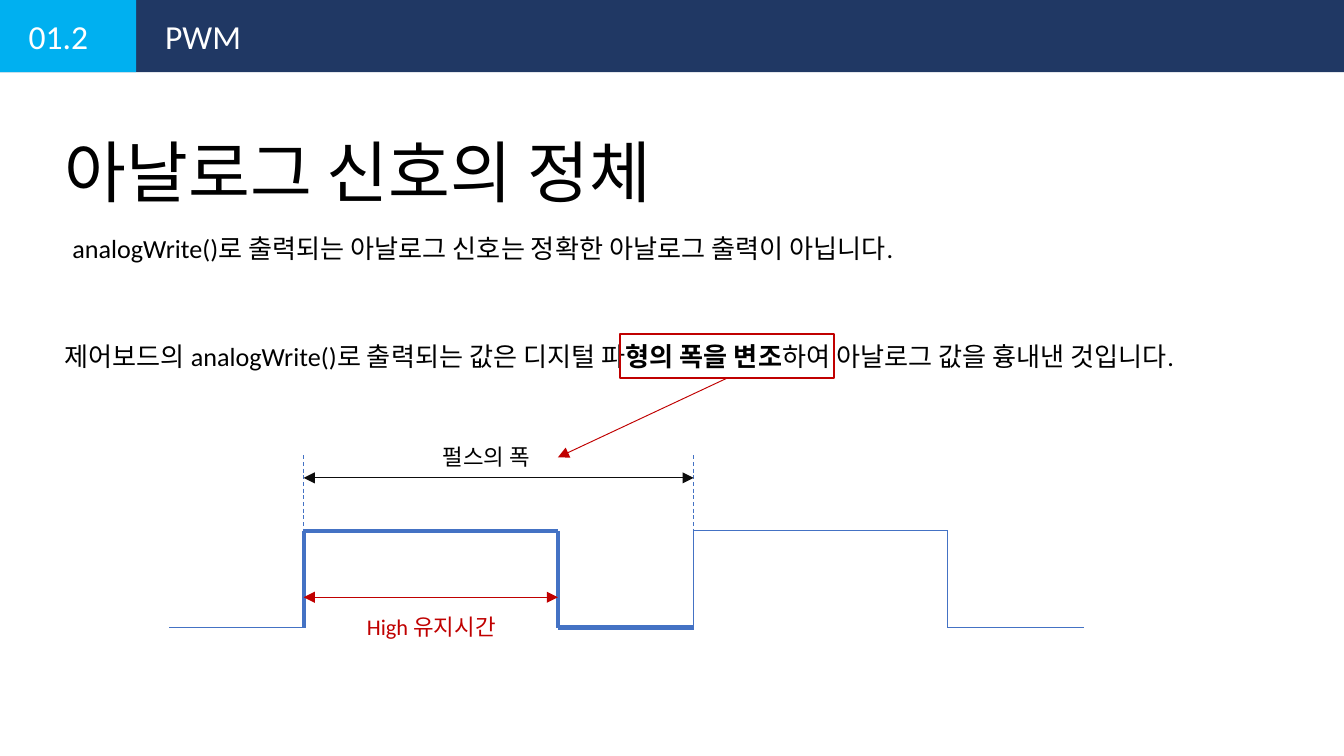
import itertools
from dataclasses import dataclass

import pptx
import pptx.dml.color
import pptx.enum.dml
import pptx.enum.shapes
import pptx.enum.text
import pptx.oxml
import pptx.oxml.ns
import pptx.util

Pt = pptx.util.Pt
PP_ALIGN = pptx.enum.text.PP_ALIGN
FONT = "Calibri"
NAVY, CYAN, BLUE, RED = "203864", "00B0F0", "4472C4", "C00000"
BLACK, NEAR_BLACK, WHITE = "000000", "0D0D0D", "FFFFFF"


@dataclass
class Label:
    left: float
    top: float
    width: float
    height: float
    size: float
    runs: list[tuple[str, bool]]
    color: str = BLACK
    align: PP_ALIGN = PP_ALIGN.LEFT


@dataclass
class Stroke:
    start: tuple[float, float]
    end: tuple[float, float]
    color: str = BLUE
    width: float = 0.5
    dashed: bool = False
    head: bool = False
    tail: bool = False


def rgb(color: str) -> pptx.dml.color.RGBColor:
    return pptx.dml.color.RGBColor.from_string(color)


def write_label(shape, label: Label) -> None:
    shape.left, shape.top = Pt(label.left), Pt(label.top)
    shape.width, shape.height = Pt(label.width), Pt(label.height)
    frame = shape.text_frame
    frame.word_wrap = True
    frame.auto_size = pptx.enum.text.MSO_AUTO_SIZE.NONE
    frame.vertical_anchor = pptx.enum.text.MSO_ANCHOR.TOP
    paragraph = frame.paragraphs[0]
    paragraph.alignment = label.align
    paragraph.font.name = FONT
    paragraph.font.size = Pt(label.size)
    paragraph.font.color.rgb = rgb(label.color)
    for text, bold in label.runs:
        run = paragraph.add_run()
        run.text = text
        if bold:
            run.font.bold = True


def add_rectangle(slide, left: float, top: float, width: float, height: float,
                  fill: str | None = None, outline: str | None = None):
    shape = slide.shapes.add_shape(pptx.enum.shapes.MSO_SHAPE.RECTANGLE,
                                   Pt(left), Pt(top), Pt(width), Pt(height))
    shape.shadow.inherit = False
    if fill:
        shape.fill.solid()
        shape.fill.fore_color.rgb = rgb(fill)
    else:
        shape.fill.background()
    if outline:
        shape.line.color.rgb = rgb(outline)
        shape.line.width = Pt(1)
    else:
        shape.line.fill.background()
    return shape


def add_stroke(slide, stroke: Stroke):
    connector = slide.shapes.add_connector(
        pptx.enum.shapes.MSO_CONNECTOR.STRAIGHT,
        *(Pt(value) for value in stroke.start + stroke.end))
    connector.line.color.rgb = rgb(stroke.color)
    connector.line.width = Pt(stroke.width)
    if stroke.dashed:
        connector.line.dash_style = pptx.enum.dml.MSO_LINE.DASH
    properties = connector._element.spPr
    outline = properties.find(pptx.oxml.ns.qn("a:ln"))
    for tag, wanted in (("a:headEnd", stroke.head), ("a:tailEnd", stroke.tail)):
        if wanted:
            arrow = pptx.oxml.parse_xml(
                f'<{tag} {pptx.oxml.ns.nsdecls("a")} type="triangle"/>')
            outline.append(arrow)
    properties.append(pptx.oxml.parse_xml(
        f'<a:effectLst {pptx.oxml.ns.nsdecls("a")}/>'))
    return connector


deck = pptx.Presentation()
deck.slide_width, deck.slide_height = Pt(720), Pt(405)
slide = deck.slides.add_slide(deck.slide_layouts[5])

# Header band
add_rectangle(slide, 0, 0, 720, 38.7, fill=NAVY)
add_rectangle(slide, 0, 0, 73, 38.7, fill=CYAN)

# Title
write_label(slide.shapes.title,
            Label(27.4, 66.2, 412.6, 51, 36, [("아날로그 신호의 정체", False)]))

# Header, body and diagram texts
labels = [
    Label(8.3, 5.1, 47, 29, 18, [("01.2", False)], WHITE),
    Label(81.4, 5.1, 371.5, 29, 18, [("PWM", False)], WHITE),
    Label(31.7, 121, 588, 24.2, 14,
          [("analogWrite()로 출력되는 아날로그 신호는 정확한 아날로그 출력이 아닙니다.", False)]),
    Label(27.4, 178.9, 650, 24.2, 14,
          [("제어보드의 analogWrite()로 출력되는 값은 디지털 파", False),
           ("형의 폭을 변조", True),
           ("하여 아날로그 값을 흉내낸 것입니다.", False)]),
    Label(222.5, 234, 76.3, 21.8, 12, [("펄스의 폭", False)], align=PP_ALIGN.CENTER),
    Label(180.7, 324.7, 100.8, 21.8, 12, [("High 유지시간", False)], RED,
          PP_ALIGN.CENTER),
]
for label in labels:
    write_label(slide.shapes.add_textbox(0, 0, 0, 0), label)

# Pulse train: a low lead-in, then two periods, the first one bold
HIGH_TIME, LOW_TIME = 136.2, 72.7
HIGH_Y, LOW_Y = 284.4, 336.2
first_rise = 162.7
first_fall = first_rise + HIGH_TIME
second_rise = first_fall + LOW_TIME
add_stroke(slide, Stroke((first_rise - LOW_TIME + 0.7, LOW_Y), (first_rise, LOW_Y)))
for rise, width in ((first_rise, 2.25), (second_rise, 0.5)):
    fall = rise + HIGH_TIME
    corners = [(rise, LOW_Y), (rise, HIGH_Y), (fall, HIGH_Y), (fall, LOW_Y),
               (fall + LOW_TIME, LOW_Y)]
    for start, end in itertools.pairwise(corners):
        add_stroke(slide, Stroke(start, end, width=width))

# Dimension lines
for edge in (first_rise, second_rise):
    add_stroke(slide, Stroke((edge, 244), (edge, HIGH_Y), dashed=True))
for end_x, y, color in ((second_rise, 256, NEAR_BLACK), (first_fall, 320, RED)):
    add_stroke(slide, Stroke((first_rise, y), (end_x, y), color, head=True, tail=True))

# Highlighted phrase and its arrow to the pulse width
phrase_frame = add_rectangle(slide, 332, 178.8, 115, 23.8, outline=RED)
phrase_arrow = add_stroke(slide, Stroke((389.5, 202.6), (298.9, 245), RED, tail=True))
phrase_arrow.begin_connect(phrase_frame, 2)

deck.save("out.pptx")
